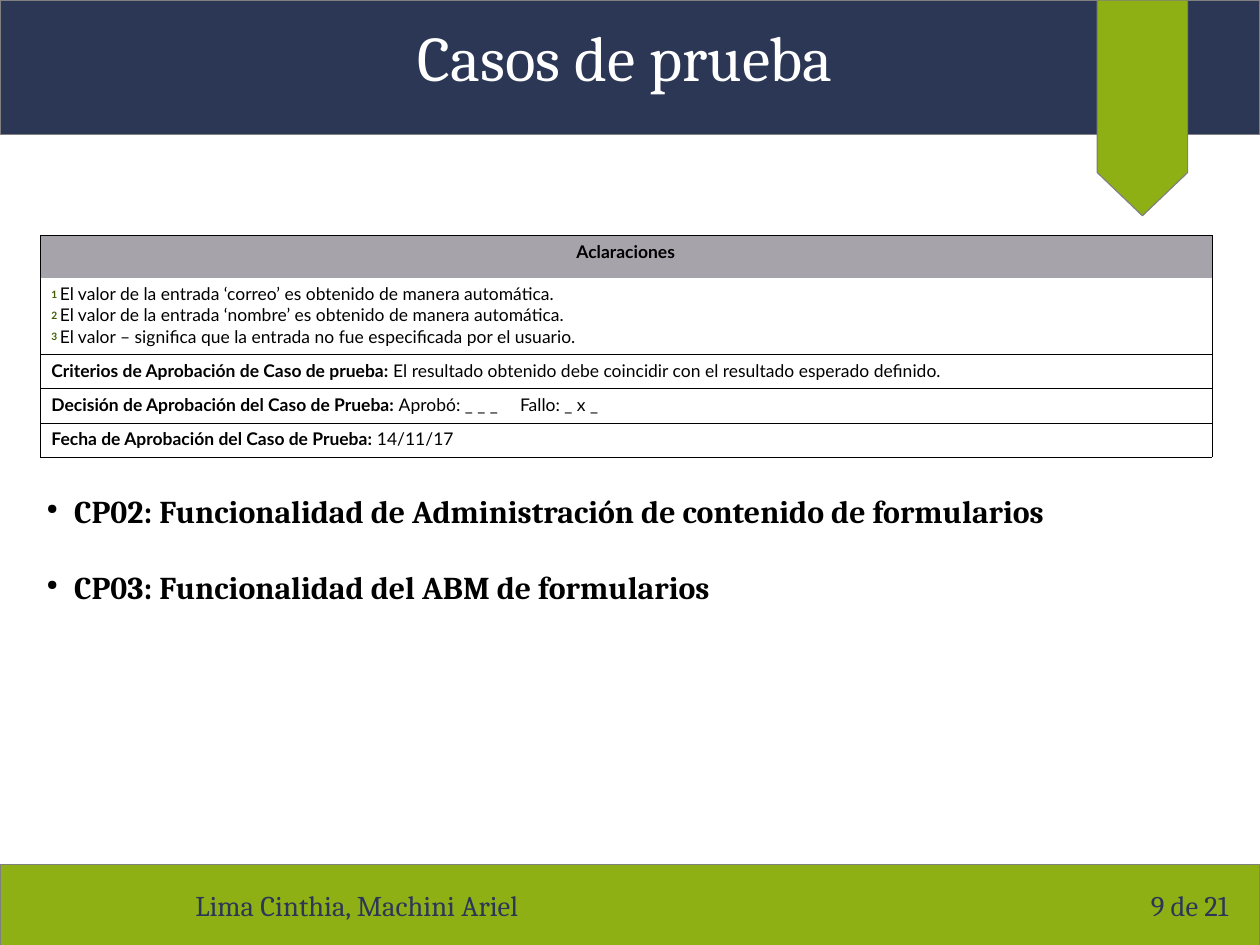
import pptx
import pptx.dml.color
import pptx.enum.shapes
import pptx.enum.text
import pptx.oxml
import pptx.oxml.ns
import pptx.util

WIDTH, HEIGHT = 11.02, 8.27
COLOURS = {"navy": "2C3756", "green": "8EB015", "edge": "808080", "white": "FFFFFF",
           "black": "000000", "header": "A6A4AA", "note": "405E01"}
HEADING_FONT, TABLE_FONT = "Cambria", "Lato"
SHAPES = pptx.enum.shapes.MSO_SHAPE
ALIGN = pptx.enum.text.PP_ALIGN
NAMESPACE = pptx.oxml.ns.nsdecls("a")

NOTES = ["El valor de la entrada ‘correo’ es obtenido de manera automática.",
         "El valor de la entrada ‘nombre’ es obtenido de manera automática.",
         "El valor – significa que la entrada no fue especificada por el usuario."]
CRITERIA = [
    ("Criterios de Aprobación de Caso de prueba: ",
     "El resultado obtenido debe coincidir con el resultado esperado definido."),
    ("Decisión de Aprobación del Caso de Prueba: ", "Aprobó: _ _ _\tFallo: _ x _"),
    ("Fecha de Aprobación del Caso de Prueba: ", "14/11/17"),
]
CASES = ["CP02: Funcionalidad de Administración de contenido de formularios",
         "CP03: Funcionalidad del ABM de formularios"]


def colour(name):
    return pptx.dml.color.RGBColor.from_string(COLOURS[name])


def inches(*lengths):
    return [pptx.util.Inches(length) for length in lengths]


def append_xml(parent, tag, attributes="", content=""):
    parent.append(pptx.oxml.parse_xml(
        f"<a:{tag} {NAMESPACE} {attributes}>{content}</a:{tag}>"))


def colour_xml(name):
    return f'<a:srgbClr val="{COLOURS[name]}"/>'


def set_font(font, name, size, colour_name, bold=False):
    font.name, font.size, font.bold = name, pptx.util.Pt(size), bold
    font.color.rgb = colour(colour_name)


def add_block(slide, kind, box, fill):
    shape = slide.shapes.add_shape(kind, *inches(*box))
    shape.shadow.inherit = False
    shape.fill.solid()
    shape.fill.fore_color.rgb = colour(fill)
    shape.line.color.rgb = colour("edge")
    shape.line.width = 0


def add_text(slide, box, lines, size, colour_name, bold=False, align=ALIGN.LEFT):
    frame = slide.shapes.add_textbox(*inches(*box)).text_frame
    frame.word_wrap = True
    for index, line in enumerate(lines):
        paragraph = frame.paragraphs[0] if index == 0 else frame.add_paragraph()
        paragraph.text = line
        paragraph.alignment = align
        set_font(paragraph.font, HEADING_FONT, size, colour_name, bold)
    return frame.paragraphs


def add_header(slide, box):
    left, top, width, height = box
    add_block(slide, SHAPES.RECTANGLE, box, "navy")
    add_text(slide, (left + 2.28, top + 0.11, 6.38, 0.76), ["Casos de prueba"],
             40, "white", align=ALIGN.CENTER)
    # Ribbon hanging from the top edge
    add_block(slide, SHAPES.FLOWCHART_OFFPAGE_CONNECTOR,
              (left + width - 1.42, top, 0.79, height * 1.6), "green")


def add_footer(slide, box):
    left, top, width, height = box
    add_block(slide, SHAPES.RECTANGLE, box, "green")
    text_top = top + 0.16
    add_text(slide, (left + 1.61, text_top, 3.15, 0.39),
             ["Lima Cinthia, Machini Ariel"], 18, "navy")
    add_text(slide, (left + width - 1.05, text_top, 1.05, 0.39), ["9 de 21"], 18, "navy")


def style_cell(cell, fill, sides):
    properties = cell._tc.get_or_add_tcPr()
    for side in "LRTB":
        paint = f"<a:solidFill>{colour_xml('black')}</a:solidFill>"
        append_xml(properties, f"ln{side}", 'w="762"',
                   paint if side in sides else "<a:noFill/>")
    cell.fill.solid()
    cell.fill.fore_color.rgb = colour(fill)


def add_run(paragraph, text, bold=False, colour_name="black"):
    run = paragraph.add_run()
    run.text = text
    set_font(run.font, TABLE_FONT, 11, colour_name, bold)
    return run


def add_clarifications(slide, box):
    row_heights = [0.37, 0.67] + [0.3] * len(CRITERIA)
    table = slide.shapes.add_table(len(row_heights), 1, *inches(*box)).table
    table.first_row = table.horz_banding = False
    for row, height in zip(table.rows, row_heights):
        row.height = pptx.util.Inches(height)
    cells = [row.cells[0] for row in table.rows]
    for index, cell in enumerate(cells):
        cell.margin_left = cell.margin_right = pptx.util.Inches(0.1)
        style_cell(cell, "white" if index else "header",
                   {0: "LRT", 1: "LRB"}.get(index, "LRTB"))

    # Heading row
    heading = cells[0].text_frame.paragraphs[0]
    heading.alignment = ALIGN.CENTER
    add_run(heading, "Aclaraciones", bold=True)

    # Numbered notes
    frame = cells[1].text_frame
    for number, note in enumerate(NOTES, 1):
        paragraph = frame.paragraphs[0] if number == 1 else frame.add_paragraph()
        mark = add_run(paragraph, f"{number} ", True, "note")
        mark._r.get_or_add_rPr().set("baseline", "15000")
        add_run(paragraph, note)

    # Label and value rows
    for cell, (label, value) in zip(cells[2:], CRITERIA):
        paragraph = cell.text_frame.paragraphs[0]
        add_run(paragraph, label, bold=True)
        add_run(paragraph, value)
        if "\t" in value:
            append_xml(paragraph._p.get_or_add_pPr(), "tabLst", "",
                       f'<a:tab pos="{pptx.util.Inches(4.1)}" algn="l"/>')


def add_cases(slide, box):
    indent = pptx.util.Inches(0.24)
    for index, paragraph in enumerate(add_text(slide, box, CASES, 20, "black", bold=True)):
        paragraph.space_before = pptx.util.Pt(24 if index else 0)
        properties = paragraph._p.get_or_add_pPr()
        properties.set("marL", str(indent))
        properties.set("indent", str(-indent))
        append_xml(properties, "buClr", "", colour_xml("black"))
        append_xml(properties, "buSzPct", 'val="45000"')
        append_xml(properties, "buChar", 'char="●"')
        # Default run properties follow the bullet in the schema
        properties.append(properties.find(pptx.oxml.ns.qn("a:defRPr")))


def main():
    presentation = pptx.Presentation()
    presentation.slide_width = pptx.util.Cm(28)
    presentation.slide_height = pptx.util.Cm(21)
    slide = presentation.slides.add_slide(presentation.slide_layouts[6])
    add_footer(slide, (0, HEIGHT - 0.71, WIDTH, 0.71))
    add_header(slide, (0, 0, WIDTH, 1.18))
    add_clarifications(slide, (0.35, 2.06, 10.25, 1.94))
    add_cases(slide, (0.31, 4.25, 10.24, 1.07))
    presentation.save("out.pptx")


if __name__ == "__main__":
    main()
